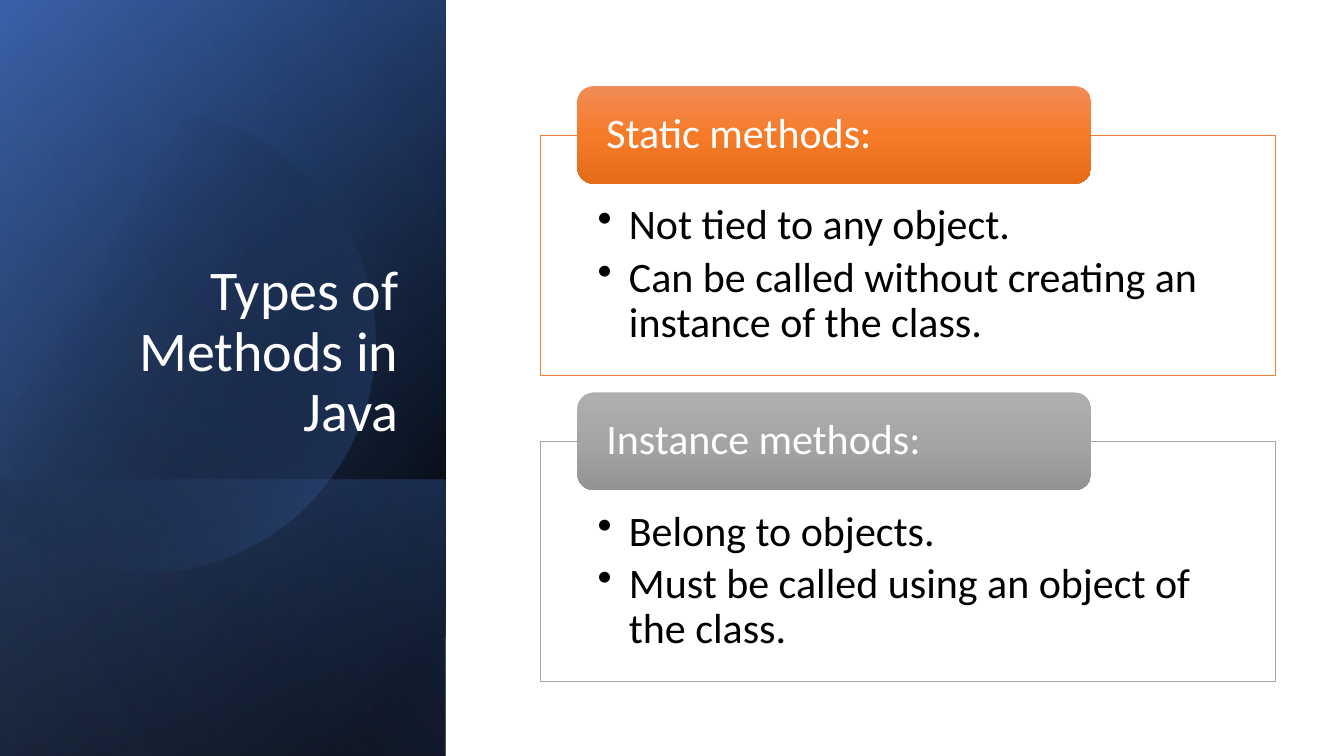
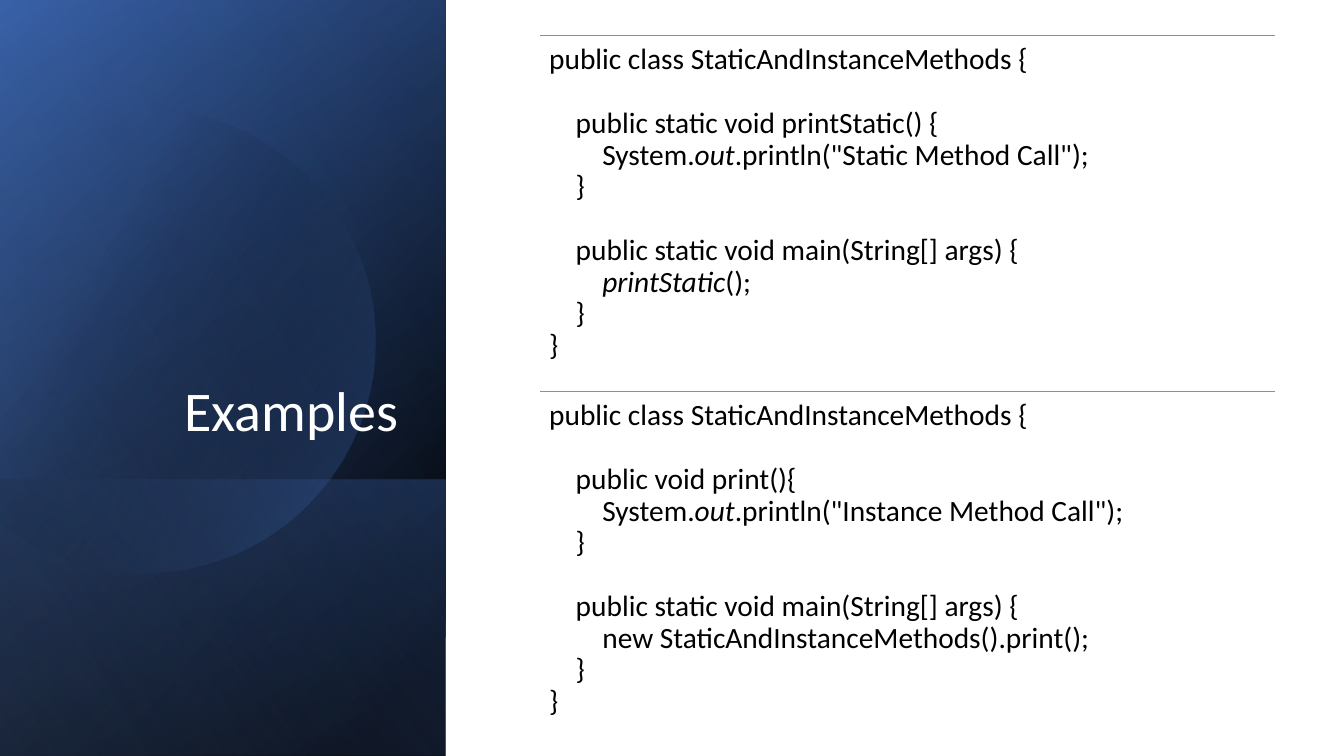
import math
from dataclasses import dataclass

import pptx
import pptx.dml.color
import pptx.enum.shapes
import pptx.enum.text
import pptx.oxml.ns
import pptx.util
from lxml import etree

Cm = pptx.util.Cm
Pt = pptx.util.Pt
qn = pptx.oxml.ns.qn
Shape = pptx.enum.shapes.MSO_SHAPE
Align = pptx.enum.text.PP_ALIGN
Anchor = pptx.enum.text.MSO_ANCHOR


@dataclass(frozen=True)
class Theme:
    font: str = "Calibri"
    white: str = "FFFFFF"
    black: str = "000000"
    navy: str = "2F5597"
    blue: str = "4472C4"
    pale: str = "8FAADC"
    orange: str = "ED7D31"
    gray: str = "A5A5A5"
    sky: str = "5B9BD5"
    green: str = "70AD47"
    warm: tuple = ("F18C57", "F67B28", "E56C19")
    cool: tuple = ("AFAFAF", "A5A5A5", "939393")
    title: int = 40
    body: int = 30
    code: int = 21
    lead: float = 0.9
    rule: float = 0.5


THEME = Theme()

# Page grid, in centimetres
WIDE, HIGH = 33.87, 19.05
PANEL = 11.23
LEFT, SPAN = 13.61, 18.52

CARDS = [
    ("Static methods:", THEME.orange, THEME.warm,
     ["Not tied to any object.",
      "Can be called without creating an instance of the class."]),
    ("Instance methods:", THEME.gray, THEME.cool,
     ["Belong to objects.",
      "Must be called using an object of the class."]),
]

# Code as groups of (depth, line); asterisks enclose italics
HEAD = [(0, "public class StaticAndInstanceMethods {")]
MAIN = (1, "public static void main(String[] args) {")
CODE = [
    (THEME.sky, [
        HEAD,
        [(1, "public static void printStatic() {"),
         (2, 'System.*out*.println("Static Method Call");'),
         (1, "}")],
        [MAIN, (2, "*printStatic*();"), (1, "}"), (0, "}")]]),
    (THEME.green, [
        HEAD,
        [(1, "public void print(){"),
         (2, 'System.*out*.println("Instance Method Call");'),
         (1, "}")],
        [MAIN, (2, "new StaticAndInstanceMethods().print();"),
         (1, "}"), (0, "}")]]),
]


def rgb(hue):
    return pptx.dml.color.RGBColor.from_string(hue)


# Fills and lines
def shade(shape, angle, stops):
    """Fill with a gradient of (place, colour, opacity) stops, in percent."""
    shape.shadow.inherit = False
    shape.line.fill.background()
    shape.fill.background()
    props = shape._element.spPr
    grad = etree.Element(qn("a:gradFill"), rotWithShape="1")
    marks = etree.SubElement(grad, qn("a:gsLst"))
    for place, hue, alpha in stops:
        mark = etree.SubElement(marks, qn("a:gs"), pos=str(place * 1000))
        tone = etree.SubElement(mark, qn("a:srgbClr"), val=hue)
        if alpha < 100:
            etree.SubElement(tone, qn("a:alpha"), val=str(alpha * 1000))
    etree.SubElement(grad, qn("a:lin"), ang=str(angle * 60000), scaled="0")
    props.replace(props.find(qn("a:noFill")), grad)


def rule(slide, top, hue):
    line = slide.shapes.add_connector(
        pptx.enum.shapes.MSO_CONNECTOR.STRAIGHT,
        Cm(LEFT), Cm(top), Cm(LEFT + SPAN), Cm(top))
    line.line.color.rgb = rgb(hue)
    line.line.width = Pt(THEME.rule)
    etree.SubElement(line._element.spPr, qn("a:effectLst"))


# Text
def frame(shape, insets, anchor=Anchor.TOP):
    text = shape.text_frame
    text.word_wrap = True
    text.auto_size = pptx.enum.text.MSO_AUTO_SIZE.NONE
    text.vertical_anchor = anchor
    (text.margin_left, text.margin_top,
     text.margin_right, text.margin_bottom) = [Cm(n) for n in insets]
    return text


def style(para, size, hue, align=Align.LEFT):
    para.alignment = align
    para.line_spacing = THEME.lead
    para.space_before = para.space_after = Pt(0)
    para.font.name = THEME.font
    para.font.size = Pt(size)
    para.font.color.rgb = rgb(hue)


def indent(para, left, first=0):
    props = para._p.get_or_add_pPr()
    props.set("marL", str(Cm(left)))
    props.set("indent", str(Cm(first)))
    return props


def lines(text, count):
    """Yield the first paragraph, then new ones, up to count."""
    yield text.paragraphs[0]
    for _ in range(count - 1):
        yield text.add_paragraph()


# Parts of a slide
def disc(slide):
    """Draw a circle cut off at the left edge of the slide."""
    mid, level, radius = 3.63, 8.58, 5.84
    limit = math.pi - math.acos(mid / radius)
    steps = 120
    turns = [limit * (2 * n / steps - 1) for n in range(steps + 1)]
    spots = [(Cm(mid + radius * math.cos(t)), Cm(level + radius * math.sin(t)))
             for t in turns]
    pen = slide.shapes.build_freeform(*spots[0], scale=1.0)
    pen.add_line_segments(spots[1:], close=True)
    return pen.convert_to_shape()


def panel(slide):
    def band(top, angle, *stops):
        shape = slide.shapes.add_shape(
            Shape.RECTANGLE, 0, Cm(top), Cm(PANEL), Cm(HIGH - top))
        shade(shape, angle, stops)

    band(0, 220, (8, THEME.black, 100), (100, THEME.navy, 100))
    band(0, 240, (0, THEME.black, 0), (99, THEME.blue, 46))
    band(12.09, 140, (2, THEME.blue, 29), (100, THEME.black, 30))
    shade(disc(slide), 30, [(29, THEME.black, 0), (100, THEME.blue, 43)])
    band(0, 150, (0, THEME.black, 0), (99, THEME.pale, 11))


def page(deck, words):
    """Add a slide with the blue panel and its title."""
    slide = deck.slides.add_slide(deck.slide_layouts[5])
    panel(slide)
    title = slide.shapes.title
    title.left, title.top = Cm(1.63), Cm(4.67)
    title.width, title.height = Cm(8.66), Cm(6.65)
    text = frame(title, (0.25, 0.13, 0.25, 0.13), Anchor.BOTTOM)
    text.text = words
    style(text.paragraphs[0], THEME.title, THEME.white, Align.RIGHT)
    slide.shapes._spTree.append(title._element)  # in front of the panel
    return slide


def card(slide, top, label, hue, tones, points):
    # Outlined box with bullets
    box = slide.shapes.add_shape(
        Shape.RECTANGLE, Cm(LEFT), Cm(top), Cm(SPAN), Cm(6.05))
    box.shadow.inherit = False
    box.fill.solid()
    box.fill.fore_color.rgb = rgb(THEME.white)
    box.line.color.rgb = rgb(hue)
    box.line.width = Pt(THEME.rule)
    text = frame(box, (1.45, 1.73, 1.45, 0.58))
    for para, point in zip(lines(text, len(points)), points):
        para.text = point
        props = indent(para, 0.79, -0.79)
        etree.SubElement(props, qn("a:buChar"), char="•")
        style(para, THEME.body, THEME.black)
        para.space_after = Pt(5)

    # Label centred on the top edge of the box
    tall = 2.46
    tab = slide.shapes.add_shape(
        Shape.ROUNDED_RECTANGLE,
        Cm(LEFT + 0.94), Cm(top - tall / 2), Cm(12.95), Cm(tall))
    shade(tab, 90, [(n * 50, tone, 100) for n, tone in enumerate(tones)])
    text = frame(tab, (0.61, 0, 0.61, 0), Anchor.MIDDLE)
    text.text = label
    style(text.paragraphs[0], THEME.body, THEME.white)


def listing(slide, top, tall, hue, groups):
    rule(slide, top, hue)
    box = slide.shapes.add_textbox(Cm(LEFT), Cm(top), Cm(SPAN), Cm(tall))
    text = frame(box, (0.23, 0.23, 0.23, 0.23))
    rows = [(depth, row, part > 0 and spot == 0)
            for part, group in enumerate(groups)
            for spot, (depth, row) in enumerate(group)]
    for para, (depth, row, gap) in zip(lines(text, len(rows)), rows):
        indent(para, 0.67 * depth)
        style(para, THEME.code, THEME.black)
        if gap:
            para.space_before = Pt(22.7)
        for spot, piece in enumerate(row.split("*")):
            if piece:
                run = para.add_run()
                run.text = piece
                if spot % 2:
                    run.font.italic = True


def main():
    deck = pptx.Presentation()
    deck.slide_width, deck.slide_height = Cm(WIDE), Cm(HIGH)

    slide = page(deck, "Types of Methods in Java")
    for spot, data in enumerate(CARDS):
        card(slide, 3.4 + 7.72 * spot, *data)

    slide = page(deck, "Examples")
    tall = 8.97
    for spot, data in enumerate(CODE):
        listing(slide, 0.89 + tall * spot, tall, *data)

    deck.save("out.pptx")


if __name__ == "__main__":
    main()
